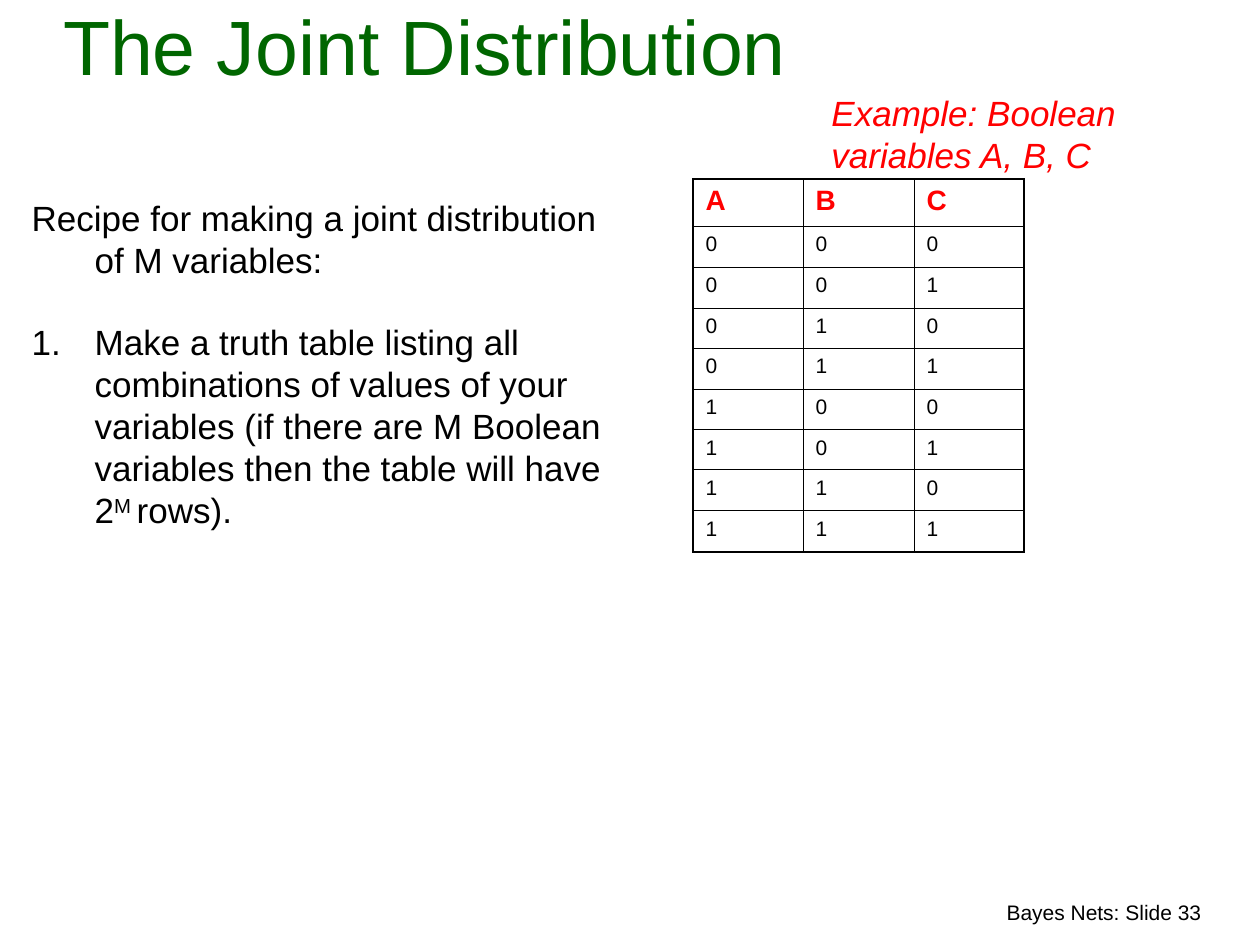
import dataclasses
import itertools

import pptx
import pptx.dml.color
import pptx.enum.text
import pptx.oxml
import pptx.oxml.ns
import pptx.util

PP_ALIGN = pptx.enum.text.PP_ALIGN
ANCHOR = pptx.enum.text.MSO_ANCHOR
DRAWING_NS = pptx.oxml.ns.nsdecls("a")


@dataclasses.dataclass(frozen=True)
class Theme:
    """Colours, type sizes and line widths of the slide."""
    font: str = "Arial"
    ink: str = "000000"
    title: str = "006600"
    accent: str = "FF0000"
    title_size: int = 44
    body_size: int = 20
    header_size: int = 16
    small_size: int = 12
    outer_line: float = 1.08
    inner_line: float = 0.45


def px(length):
    """Turn pixels into EMU at 126 pixels to the inch."""
    return pptx.util.Emu(round(length * 914400 / 126))


def split(total, count):
    """Divide a length into whole-pixel parts that differ by one at most."""
    edges = [round(total * i / count) for i in range(count + 1)]
    return [end - start for start, end in itertools.pairwise(edges)]


class SlideBuilder:
    """Holds the theme and the current slide."""

    def __init__(self, slide, theme):
        """Keep the slide and the theme for all elements."""
        self.slide = slide
        self.theme = theme

    def style(self, paragraph, size, color=None, bold=False, italic=False,
              align=PP_ALIGN.LEFT, before=0):
        """Set the font and the spacing of a paragraph."""
        font = paragraph.font
        font.name = self.theme.font
        font.size = pptx.util.Pt(size)
        font.bold = bold
        font.italic = italic
        font.color.rgb = pptx.dml.color.RGBColor.from_string(color or self.theme.ink)
        paragraph.alignment = align
        paragraph.space_before = pptx.util.Pt(before)

    def place(self, shape, box, anchor=ANCHOR.TOP):
        """Move a text shape and return its prepared text frame."""
        shape.left, shape.top, shape.width, shape.height = map(px, box)
        frame = shape.text_frame
        frame.word_wrap = True
        frame.auto_size = pptx.enum.text.MSO_AUTO_SIZE.NONE
        frame.vertical_anchor = anchor
        return frame

    def title(self, text, box):
        """Fill the title placeholder."""
        frame = self.place(self.slide.shapes.title, box, ANCHOR.BOTTOM)
        frame.text = text
        self.style(frame.paragraphs[0], self.theme.title_size, self.theme.title,
                   align=PP_ALIGN.CENTER)

    def text(self, text, box, size, **look):
        """Add a text box with one paragraph."""
        frame = self.place(self.slide.shapes.add_textbox(0, 0, 0, 0), box)
        frame.text = text
        self.style(frame.paragraphs[0], size, **look)

    def recipe(self, intro, step, box):
        """Fill the body with an introduction and one numbered step.

        The step is a list of (text, is_superscript) pairs.
        """
        frame = self.place(self.slide.placeholders[1], box)
        frame.text = intro
        step_paragraph = frame.add_paragraph()
        for words, is_superscript in step:
            run = step_paragraph.add_run()
            run.text = words
            if is_superscript:
                run.font._element.set("baseline", "30000")
        one_line = self.theme.body_size * 1.15
        bullets = ("buNone", 0), ('buAutoNum type="arabicPeriod"', one_line)
        for paragraph, (bullet, before) in zip(frame.paragraphs, bullets):
            self.style(paragraph, self.theme.body_size, before=before)
            properties = paragraph._p.get_or_add_pPr()
            properties.set("marL", str(px(63)))
            properties.set("indent", str(-px(63)))
            properties.insert_element_before(
                pptx.oxml.parse_xml(f"<a:{bullet} {DRAWING_NS}/>"),
                "a:tabLst", "a:defRPr", "a:extLst")

    def border(self, cell, side, width):
        """Draw one side of a table cell."""
        cell._tc.get_or_add_tcPr().append(pptx.oxml.parse_xml(
            f'<a:{side} {DRAWING_NS} w="{pptx.util.Pt(width)}"><a:solidFill>'
            f'<a:srgbClr val="{self.theme.ink}"/></a:solidFill></a:{side}>'))

    def table(self, rows, left, top, widths, heights):
        """Add a ruled table whose first row is the header."""
        theme = self.theme
        table = self.slide.shapes.add_table(
            len(rows), len(widths), px(left), px(top),
            px(sum(widths)), px(sum(heights))).table
        table.first_row = table.horz_banding = False
        for column, width in zip(table.columns, widths):
            column.width = px(width)
        for row, height in zip(table.rows, heights):
            row.height = px(height)
        last_row, last_column = len(rows) - 1, len(widths) - 1
        for r, values in enumerate(rows):
            for c, value in enumerate(values):
                cell = table.cell(r, c)
                cell.text = str(value)
                paragraph = cell.text_frame.paragraphs[0]
                if r == 0:
                    self.style(paragraph, theme.header_size, theme.accent,
                               bold=True, before=4)
                else:
                    self.style(paragraph, theme.small_size, before=3)
                on_edge = {"lnL": c == 0, "lnR": c == last_column,
                           "lnT": r == 0, "lnB": r == last_row}
                for side, outer in on_edge.items():
                    self.border(cell, side,
                                theme.outer_line if outer else theme.inner_line)
                cell.fill.background()


def main():
    """Build and save the slide."""
    presentation = pptx.Presentation()
    presentation.slide_width, presentation.slide_height = px(1260), px(945)
    theme = Theme()
    builder = SlideBuilder(
        presentation.slides.add_slide(presentation.slide_layouts[1]), theme)

    builder.text("Bayes Nets: Slide 33", (721, 893, 493, 38), theme.small_size,
                 align=PP_ALIGN.RIGHT, before=7.5)
    builder.title("The Joint Distribution", (10, 21, 830, 76))
    builder.recipe(
        "Recipe for making a joint distribution of M variables:",
        [("Make a truth table listing all combinations of values of your "
          "variables (if there are M Boolean variables then the table will "
          "have 2", False), ("M ", True), ("rows).", False)],
        (19, 190, 611, 349))
    builder.text("Example: Boolean variables A, B, C", (819, 85, 420, 97),
                 theme.body_size, color=theme.accent, italic=True)
    truth_rows = ["ABC", *itertools.product((0, 1), repeat=3)]
    builder.table(truth_rows, 693, 179, split(331, 3), [47, *split(326, 8)])

    presentation.save("out.pptx")


main()
